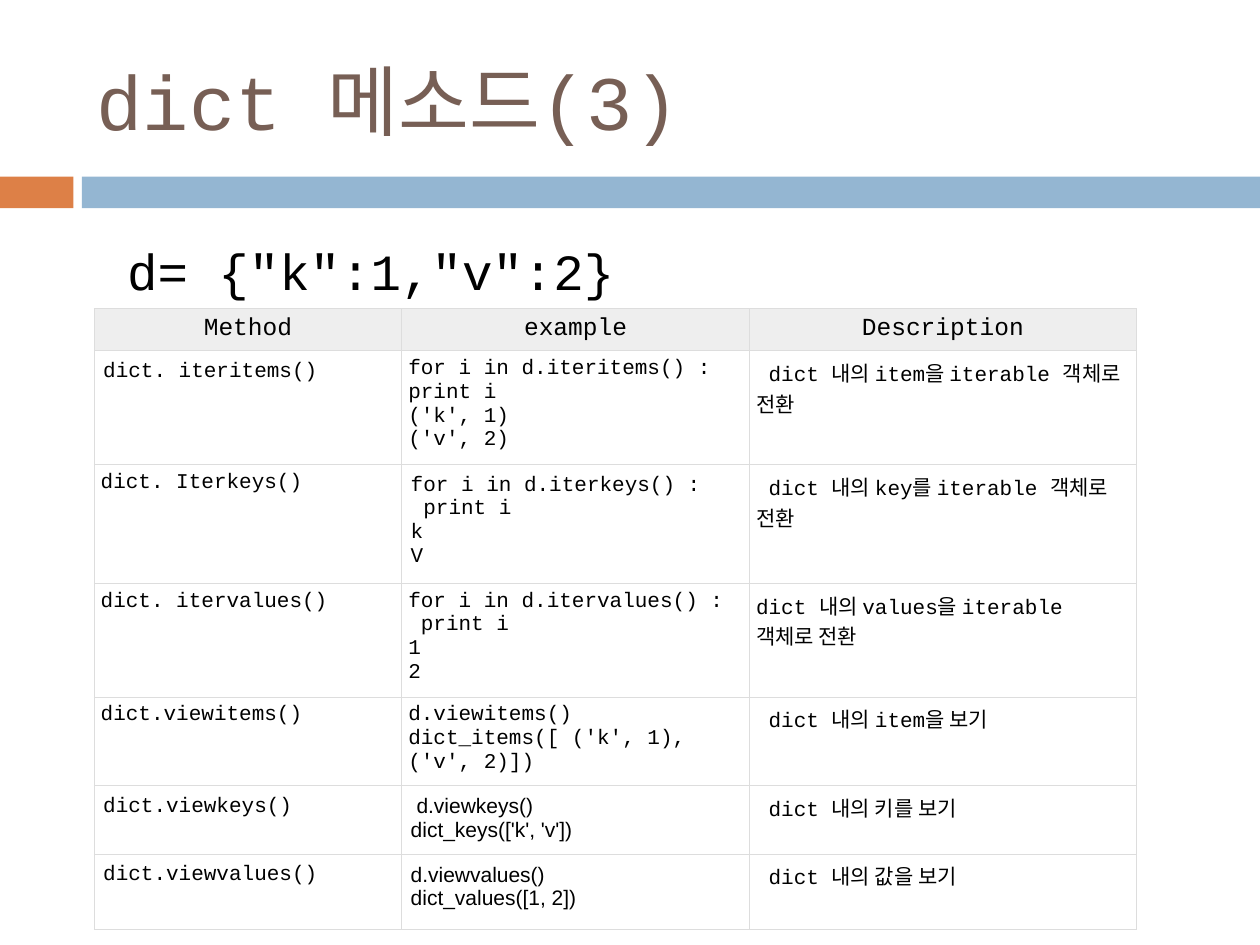
from lxml import etree
from pptx import Presentation
from pptx.dml.color import RGBColor
from pptx.enum.shapes import MSO_SHAPE
from pptx.enum.text import MSO_ANCHOR, PP_ALIGN
from pptx.oxml.ns import qn
from pptx.util import Cm, Pt

# Content
TITLE = "dict 메소드(3)"
SAMPLE = ' d= {"k":1,"v":2}'
HEADER = ["Method", "example", "Description"]
# Each row: method, lines of the example, description
METHODS = [
    ("dict. iteritems()", ["for i in d.iteritems() :\vprint i", "('k', 1)", "('v', 2)"],
     " dict 내의 item을 iterable 객체로 전환"),
    ("dict. Iterkeys()", ["for i in d.iterkeys() :\v print i", "k", "V"],
     " dict 내의 key를 iterable 객체로 전환"),
    ("dict. itervalues()", ["for i in d.itervalues() :\v print i", "1", "2"],
     "dict 내의 values을 iterable 객체로 전환"),
    ("dict.viewitems()", ["d.viewitems()", "dict_items([ ('k', 1), ('v', 2)])"],
     " dict 내의 item을 보기"),
    ("dict.viewkeys()", [" d.viewkeys()", "dict_keys(['k', 'v'])"],
     " dict 내의 키를 보기"),
    ("dict.viewvalues()", ["d.viewvalues()", "dict_values([1, 2])"],
     " dict 내의 값을 보기"),
]

# Looks
ORANGE = RGBColor(0xDD, 0x80, 0x47)
BLUE = RGBColor(0x94, 0xB6, 0xD2)
BROWN = RGBColor(0x77, 0x5F, 0x55)
BLACK = RGBColor(0, 0, 0)
HEADER_FILL = RGBColor(0xEE, 0xEE, 0xEE)
BORDER = RGBColor(0xDD, 0xDD, 0xDD)
MONO, SANS = "Courier New", "Arial"
TITLE_FORMAT = {"name": MONO, "size": Pt(44), "color": BROWN}
SAMPLE_FORMAT = {"name": MONO, "size": Pt(29), "color": BLACK}
HEADER_FORMAT = {"name": MONO, "size": Pt(14), "color": BLACK, "bold": False}
CELL_FORMAT = {"name": MONO, "size": Pt(12), "color": BLACK, "bold": False}

# Table grid, in centimetres
COLUMN_WIDTHS = [6.2, 7.01, 7.8]
ROW_HEIGHTS = [0.76, 2.06, 2.11, 2.06, 1.6, 1.22, 1.52]
NARROW, WIDE = 0.13, 0.18
WIDE_CELLS = {(1, 0), (2, 1), (5, 0), (5, 1), (6, 0), (6, 1)}
SANS_CELLS = {(5, 1), (6, 1)}


def write(frame, lines, style, align=PP_ALIGN.LEFT):
    frame.word_wrap = True
    for index, line in enumerate(lines):
        para = frame.paragraphs[0] if index == 0 else frame.add_paragraph()
        para.text = line
        para.alignment = align
        for span in para.runs:
            for key, value in style.items():
                if key == "color":
                    span.font.color.rgb = value
                else:
                    setattr(span.font, key, value)


def add_text(page, place, text, style, anchor):
    box = page.shapes.add_textbox(*map(Cm, place))
    box.text_frame.vertical_anchor = anchor
    write(box.text_frame, [text], style)


def add_bar(page, left, width, color):
    bar = page.shapes.add_shape(MSO_SHAPE.RECTANGLE, Cm(left), Cm(3.56), Cm(width), Cm(0.64))
    bar.shadow.inherit = False
    bar.fill.solid()
    bar.fill.fore_color.rgb = color
    bar.line.fill.background()


def add_borders(cell):
    properties = cell._tc.get_or_add_tcPr()
    for index, side in enumerate(("lnL", "lnR", "lnT", "lnB")):
        line = etree.Element(qn(f"a:{side}"), w=str(Pt(0.6)))
        fill = etree.SubElement(line, qn("a:solidFill"))
        etree.SubElement(fill, qn("a:srgbClr"), val=str(BORDER))
        properties.insert(index, line)


def add_method_table(page):
    rows = [HEADER] + METHODS
    table = page.shapes.add_table(
        len(rows), len(HEADER), Cm(1.9), Cm(6.22),
        Cm(sum(COLUMN_WIDTHS)), Cm(sum(ROW_HEIGHTS))).table
    table.horz_banding = False
    for column, width in zip(table.columns, COLUMN_WIDTHS):
        column.width = Cm(width)
    for r, (row, height) in enumerate(zip(rows, ROW_HEIGHTS)):
        table.rows[r].height = Cm(height)
        for c, content in enumerate(row):
            cell = table.cell(r, c)
            inset = Cm(WIDE if (r, c) in WIDE_CELLS else NARROW)
            for side in ("left", "right", "top", "bottom"):
                setattr(cell, f"margin_{side}", inset)
            lines = [content] if isinstance(content, str) else content
            if r == 0:
                cell.fill.solid()
                cell.fill.fore_color.rgb = HEADER_FILL
                write(cell.text_frame, lines, HEADER_FORMAT, PP_ALIGN.CENTER)
            else:
                cell.fill.background()
                font = SANS if (r, c) in SANS_CELLS else MONO
                write(cell.text_frame, lines, {**CELL_FORMAT, "name": font})
            add_borders(cell)


def main():
    deck = Presentation()
    deck.slide_width, deck.slide_height = Cm(25.4), Cm(19.05)
    page = deck.slides.add_slide(deck.slide_layouts[6])

    # Band under the title
    add_bar(page, 0, 1.48, ORANGE)
    add_bar(page, 1.65, 23.75, BLUE)

    # Title and sample dictionary
    add_text(page, (1.7, 0.64, 22.66, 2.74), TITLE, TITLE_FORMAT, MSO_ANCHOR.MIDDLE)
    add_text(page, (1.7, 4.7, 22.66, 1.5), SAMPLE, SAMPLE_FORMAT, MSO_ANCHOR.TOP)

    add_method_table(page)
    deck.save("out.pptx")


if __name__ == "__main__":
    main()
